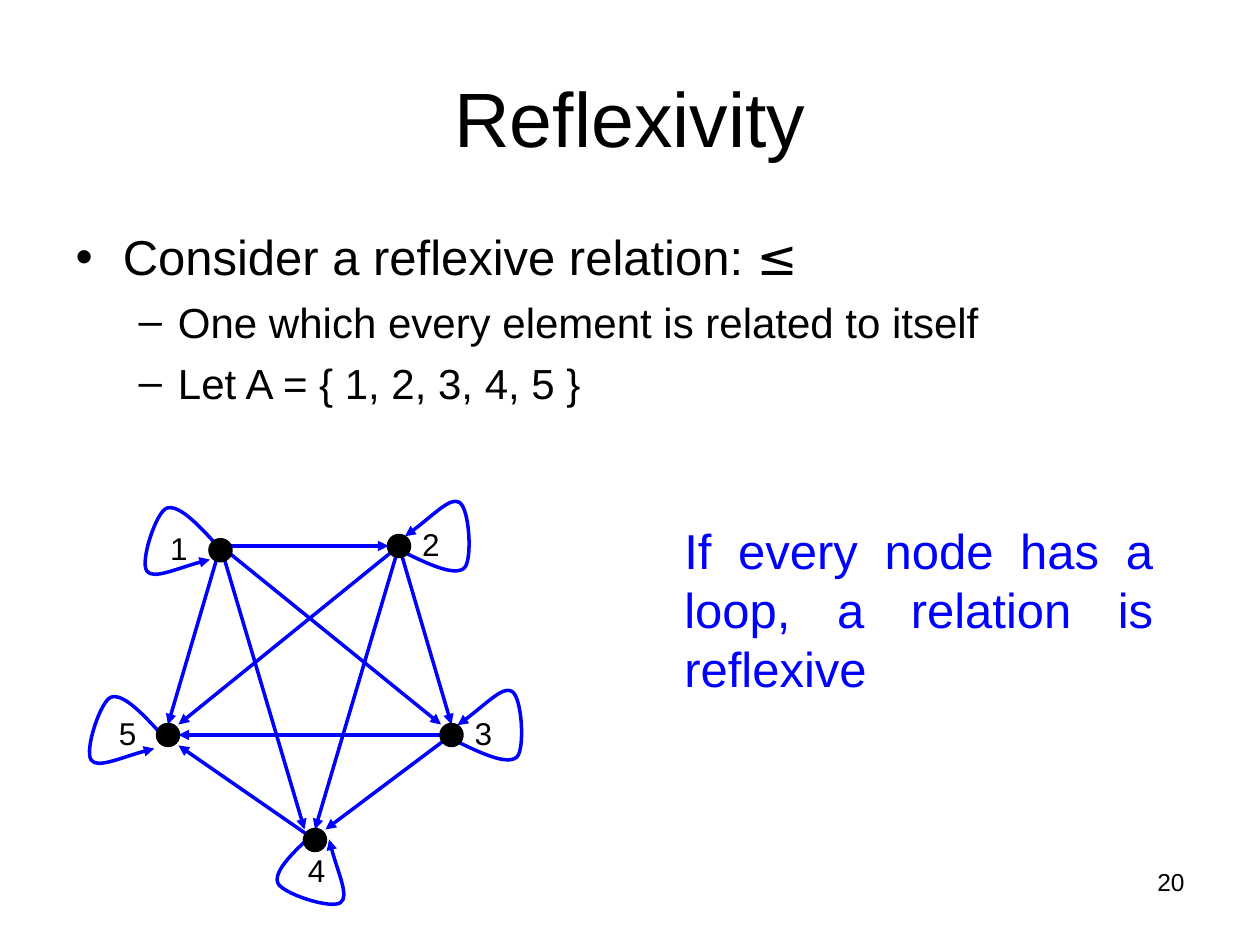
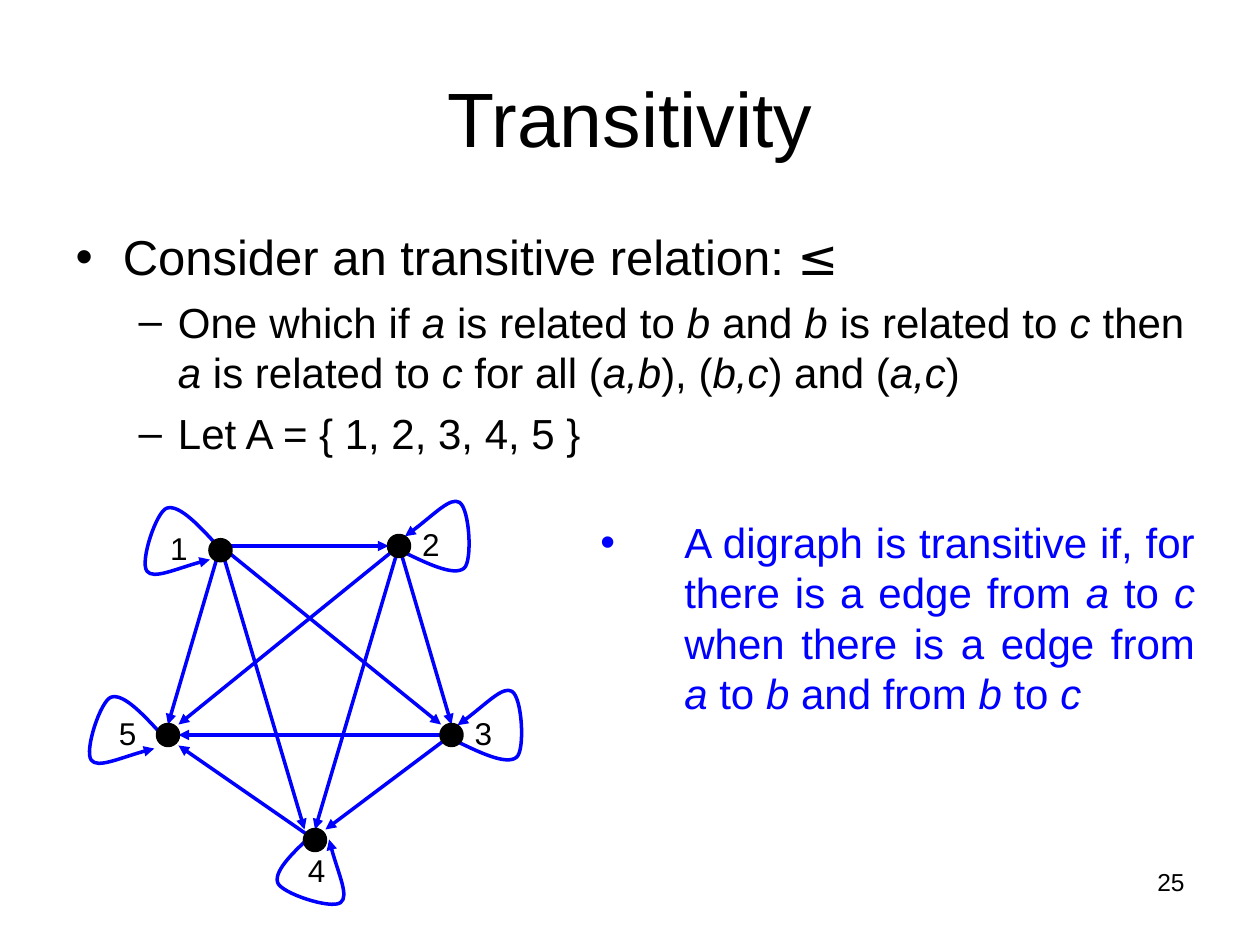
import lxml.etree
import pptx
import pptx.dml.color
import pptx.enum.shapes
import pptx.enum.text
import pptx.oxml.ns
import pptx.util

COLS, ROWS = 120, 90
BLACK, BLUE = "000000", "0000FF"
FONT, MATH = "Arial", "DejaVu Sans"
ALIGN = pptx.enum.text.PP_ALIGN
FIT = pptx.enum.text.MSO_AUTO_SIZE
qn = pptx.oxml.ns.qn

PLAIN = (28, 0, 0, 0, None)
POINT = (28, 7, 4.5, 4.5, "•")
DASH = (24, 6, 9.75, 3.75, "–")
NOTE = (24, 6, 8, 8, "•")

LOOP = [(7.7, 4.3), (5.8, 2.2), (3.8, 0), (2.6, 0.4), (1.6, 0.7),
        (0, 5.5), (0.7, 6.4), (1.3, 7.2), (3.8, 6), (6.7, 5.3)]
NODES = {
    "1": ((20, 51.4), (15, 48.4), (13.3, 48), 0),
    "2": ((37, 51), (39, 48), (38, 48), 158.4),
    "3": ((42, 69), (44, 66), (43, 66), 158.4),
    "4": ((29, 79), (28.1, 79), (25.8, 79.2), 270),
    "5": ((15, 69), (10.1, 66), (8, 66), 0),
}
EDGES = {
    (21, 52): [(37, 52), (42, 69), (16, 69), (29, 79)],
    (38, 52): [(43, 69), (30, 79), (17, 69)],
    (43, 70): [(31, 79), (17, 70)],
    (30, 80): [(17, 71)],
}


def paint(code):
    return pptx.dml.color.RGBColor.from_string(code)


class Deck:
    def __init__(self):
        self.file = pptx.Presentation()
        self.cell = pptx.util.Inches(10) / COLS
        self.file.slide_width, self.file.slide_height = self.span(COLS, ROWS)

    def span(self, *cells):
        return [pptx.util.Emu(round(c * self.cell)) for c in cells]

    def start(self, title, page):
        self.slide = self.file.slides.add_slide(self.file.slide_layouts[1])
        self.area = self.slide.shapes
        head = self.place(self.slide.shapes.title, 6, 3.6, 108, 15)
        head.vertical_anchor = pptx.enum.text.MSO_ANCHOR.MIDDLE
        self.put(head, [((44,) + PLAIN[1:], title)], align=ALIGN.CENTER)
        self.text(86, 82, 28, 6.2, [((14,) + PLAIN[1:], page)], align=ALIGN.RIGHT)

    def place(self, shape, *box):
        shape.left, shape.top, shape.width, shape.height = self.span(*box)
        shape.text_frame.auto_size = FIT.NONE
        return shape.text_frame

    def body(self, items):
        self.put(self.place(self.slide.placeholders[1], 6, 21, 108, 64), items)

    def text(self, left, top, wide, high, items, **look):
        frame = self.area.add_textbox(*self.span(left, top, wide, high)).text_frame
        frame.word_wrap = True
        self.put(frame, items, **look)
        return frame

    def put(self, frame, items, ink=BLACK, align=ALIGN.JUSTIFY):
        for n, (style, words) in enumerate(items):
            para = frame.add_paragraph() if n else frame.paragraphs[0]
            size, gap, left, hang, mark = style
            para.alignment = align
            para.space_before = pptx.util.Pt(gap)
            self.bullet(para, left, hang, mark)
            for k, part in enumerate(words.split("*")):
                if part:
                    run = para.add_run()
                    run.text = part
                    run.font.size = pptx.util.Pt(size)
                    run.font.name = MATH if part == "≤" else FONT
                    run.font.italic = k % 2 == 1 and part != "≤"
                    run.font.color.rgb = paint(ink)

    def bullet(self, para, left, hang, mark):
        props = para._p.get_or_add_pPr()
        left, hang = self.span(left, -hang)
        props.set("marL", str(left))
        props.set("indent", str(hang))
        if mark:
            lxml.etree.SubElement(props, qn("a:buFont")).set("typeface", FONT)
            lxml.etree.SubElement(props, qn("a:buChar")).set("char", mark)
        else:
            lxml.etree.SubElement(props, qn("a:buNone"))

    def stroke(self, shape, ink, head=True):
        shape.line.color.rgb = paint(ink)
        shape.line.width = pptx.util.Pt(2)
        if head:
            line = shape.element.spPr.find(qn("a:ln"))
            lxml.etree.SubElement(line, qn("a:tailEnd")).set("type", "triangle")

    def arrow(self, start, end):
        kind = pptx.enum.shapes.MSO_CONNECTOR.STRAIGHT
        link = self.area.add_connector(kind, *self.span(*start, *end))
        self.stroke(link, BLUE)
        lxml.etree.SubElement(link.element.spPr, qn("a:effectLst"))

    def loop(self, left, top, turn):
        spots = [self.span(left + x, top + y) for x, y in LOOP]
        pen = self.area.build_freeform(*spots[0])
        pen.add_line_segments(spots[1:], close=False)
        shape = pen.convert_to_shape()
        trail = shape.element.find(".//" + qn("a:path"))
        steps = trail.findall(qn("a:lnTo"))
        for n in range(0, len(steps), 3):
            curve = lxml.etree.SubElement(trail, qn("a:cubicBezTo"))
            for step in steps[n:n + 3]:
                curve.append(step[0])
                trail.remove(step)
        shape.rotation = turn
        shape.shadow.inherit = False
        shape.fill.background()
        self.stroke(shape, BLUE)

    def dot(self, left, top):
        kind = pptx.enum.shapes.MSO_SHAPE.OVAL
        shape = self.area.add_shape(kind, *self.span(left, top, 2, 2))
        shape.shadow.inherit = False
        shape.fill.solid()
        shape.fill.fore_color.rgb = paint(BLACK)
        self.stroke(shape, BLACK, head=False)

    def label(self, left, top, name):
        frame = self.text(left, top, 4.1, 6.2, [((18,) + PLAIN[1:], name)],
                          align=ALIGN.CENTER)
        frame.word_wrap = False
        frame.auto_size = FIT.SHAPE_TO_FIT_TEXT
        frame.paragraphs[0].line_spacing = 1.4

    def graph(self):
        self.area = self.slide.shapes.add_group_shape().shapes
        for name, (_, tag, loop, turn) in NODES.items():
            self.label(*tag, name)
            self.loop(*loop, turn)
        for start, ends in EDGES.items():
            for end in ends:
                self.arrow(start, end)
        for spot, *_ in NODES.values():
            self.dot(*spot)
        self.area = self.slide.shapes


def main():
    deck = Deck()
    given = (DASH, "Let A = { 1, 2, 3, 4, 5 }")

    deck.start("Reflexivity", "20")
    deck.body([
        (POINT, "Consider a reflexive relation: *≤*"),
        (DASH, "One which every element is related to itself"),
        given,
    ])
    deck.graph()
    deck.text(64, 49, 47, 18, [
        (PLAIN, "If every node has a loop, a relation is reflexive"),
    ], ink=BLUE)

    deck.start("Transitivity", "25")
    deck.body([
        (POINT, "Consider an transitive relation: *≤*"),
        (DASH, "One which if *a* is related to *b* and *b* is related to *c* then "
               "*a* is related to *c *for all (*a,b*), (*b,c*) and (*a,c*)"),
        given,
    ])
    deck.graph()
    deck.text(56, 48.6, 59, 34.3, [
        (NOTE, "A digraph is transitive if, for there is a edge from *a* to *c* "
               "when there is a edge from *a* to *b* and from *b* to *c*"),
    ], ink=BLUE)

    deck.file.save("out.pptx")


if __name__ == "__main__":
    main()
